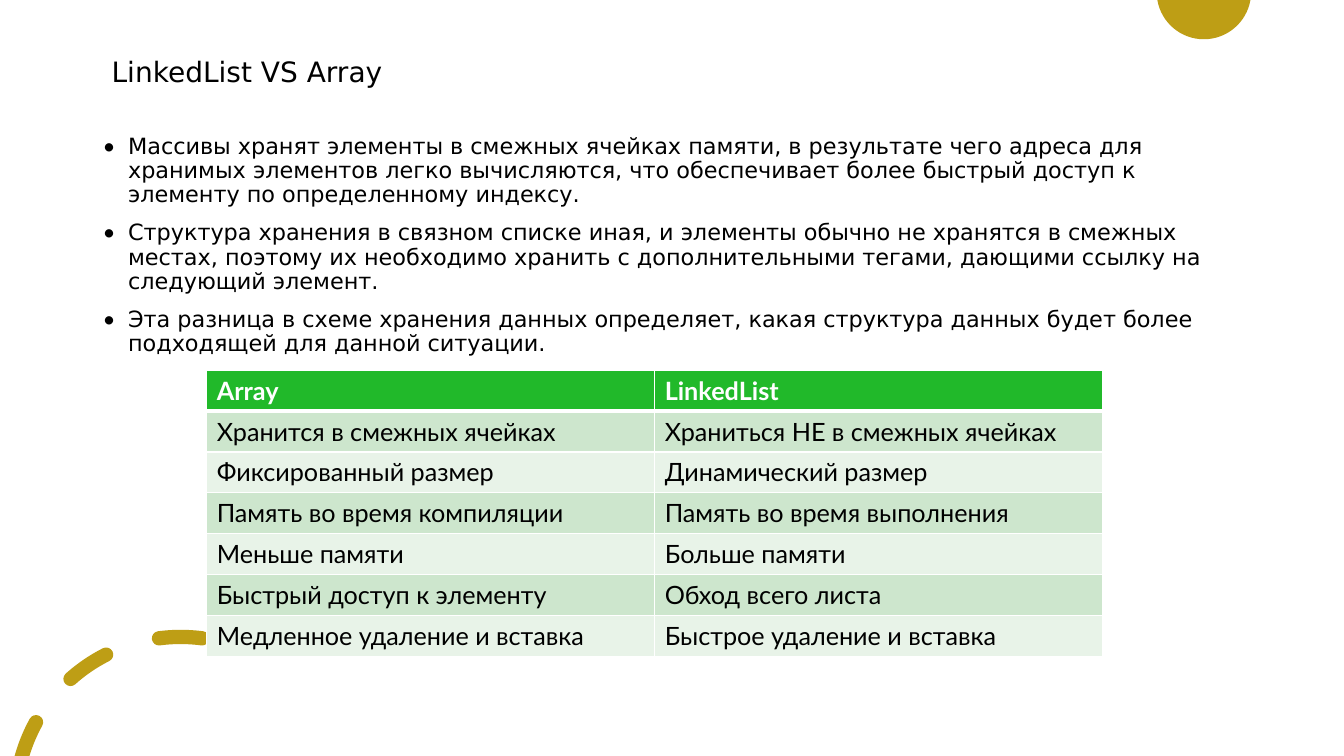
from collections import namedtuple
from math import acos, cos, degrees, radians, sin, tan

from lxml import etree
from pptx import Presentation
from pptx.dml.color import RGBColor
from pptx.enum import text
from pptx.oxml import ns
from pptx.util import Cm, Pt

GOLD = RGBColor(0xBE, 0x9E, 0x15)
GREEN = RGBColor(0x21, 0xB9, 0x2A)
BAND_DARK = RGBColor(0xCD, 0xE6, 0xCD)
BAND_LIGHT = RGBColor(0xE8, 0xF3, 0xE8)
WHITE = RGBColor(0xFF, 0xFF, 0xFF)
BLACK = RGBColor(0, 0, 0)

Box = namedtuple("Box", "left top width height")  # centimetres

TITLE = " LinkedList VS Array"
POINTS = [
    "Массивы хранят элементы в смежных ячейках памяти, в результате чего адреса для "
    "хранимых элементов легко вычисляются, что обеспечивает более быстрый доступ к "
    "элементу по определенному индексу.",
    "Структура хранения в связном списке иная, и элементы обычно не хранятся в смежных "
    "местах, поэтому их необходимо хранить с дополнительными тегами, дающими ссылку на "
    "следующий элемент.",
    "Эта разница в схеме хранения данных определяет, какая структура данных будет более "
    "подходящей для данной ситуации.",
]
ROWS = [
    ("Array", "LinkedList"),
    ("Хранится в смежных ячейках", "Храниться НЕ в смежных ячейках"),
    ("Фиксированный размер", "Динамический размер"),
    ("Память во время компиляции", "Память во время выполнения"),
    ("Меньше памяти", "Больше памяти"),
    ("Быстрый доступ к элементу", "Обход всего листа"),
    ("Медленное удаление и вставка", "Быстрое удаление и вставка"),
]


def on_circle(cx, cy, radius, angle):
    """Point at an angle in degrees, clockwise from the top."""
    a = radians(angle)
    return cx + radius * sin(a), cy - radius * cos(a)


def arc(cx, cy, radius, start, end):
    """Two control points and the end point of a Bezier arc."""
    reach = 4 / 3 * tan(radians(end - start) / 4) * radius
    x0, y0 = on_circle(cx, cy, radius, start)
    x1, y1 = on_circle(cx, cy, radius, end)
    a, b = radians(start), radians(end)
    return [(x0 + reach * cos(a), y0 + reach * sin(a)),
            (x1 - reach * cos(b), y1 - reach * sin(b)), (x1, y1)]


def half_turn(cx, cy, radius, start):
    return (arc(cx, cy, radius, start, start + 90)
            + arc(cx, cy, radius, start + 90, start + 180))


def add_curves(slide, contours):
    """One gold shape; each contour is (start point, curves, straight corners)."""
    fb = None
    tags = []
    for start, curves, corners in contours:
        start, *rest = [(Cm(x), Cm(y)) for x, y in [start] + curves + corners]
        if fb is None:
            fb = slide.shapes.build_freeform(*start)
        else:
            fb.move_to(*start)
        fb.add_line_segments(rest, close=True)
        tags += ["curve"] * len(curves) + ["line"] * len(corners)
    sp = fb.convert_to_shape()
    # Join each three curve points into one cubic segment
    lines = list(sp._element.iter(ns.qn("a:lnTo")))
    curved = [line for line, tag in zip(lines, tags) if tag == "curve"]
    for c1, c2, last in zip(curved[::3], curved[1::3], curved[2::3]):
        cubic = etree.Element(ns.qn("a:cubicBezTo"))
        c1.addprevious(cubic)
        for line in (c1, c2, last):
            cubic.append(line[0])
            line.getparent().remove(line)
    sp.shadow.inherit = False
    sp.fill.solid()
    sp.fill.fore_color.rgb = GOLD
    sp.line.fill.background()


def add_run(p, content, size, font, color, bold=False):
    r = p.add_run()
    r.text = content
    r.font.size = Pt(size)
    r.font.name = font
    r.font.bold = bold
    r.font.color.rgb = color


def add_text_frame(slide, box):
    tf = slide.shapes.add_textbox(*map(Cm, box)).text_frame
    tf.word_wrap = True
    return tf


# Circle cut off by the top edge
def add_corner_circle(slide, box):
    radius = 1.19
    circle = (box.left + box.width / 2, box.top + box.height - radius, radius)
    start = degrees(acos((circle[1] - box.top) / radius))
    curves = arc(*circle, start, 180) + arc(*circle, 180, 360 - start)
    add_curves(slide, [(on_circle(*circle, start), curves, [])])


# Dashed arc with round ends, cut off by the bottom edge
def add_dashed_arc(slide, box):
    radius, half = 4.16, 0.18
    cx, cy = box.left + 4.55, box.top + half + radius
    outer, inner = (cx, cy, radius + half), (cx, cy, radius - half)
    drop = cy - box.top - box.height
    contours = []
    for i in range(3):
        end = 7.5 - 34.3 * i
        start = end - 15
        clipped = i == 2
        first, last = [max(start, -degrees(acos(drop / c[2]))) if clipped else start
                       for c in (outer, inner)]
        curves = (arc(*outer, first, end)
                  + half_turn(*on_circle(cx, cy, radius, end), half, end)
                  + arc(*inner, end, last))
        if not clipped:
            curves += half_turn(*on_circle(cx, cy, radius, start), half, start + 180)
        contours.append((on_circle(*outer, first), curves, []))
    add_curves(slide, contours)


def add_title(slide, box):
    tf = add_text_frame(slide, box)
    tf.vertical_anchor = text.MSO_ANCHOR.MIDDLE
    add_run(tf.paragraphs[0], TITLE, 20, "DejaVu Sans", BLACK)


def add_bullets(slide, box):
    tf = add_text_frame(slide, box)
    for i, point in enumerate(POINTS):
        p = tf.add_paragraph() if i else tf.paragraphs[0]
        p.line_spacing = 0.9
        p.space_before = Pt(10)
        pPr = p._p.get_or_add_pPr()
        pPr.set("marL", str(Cm(0.64)))
        pPr.set("indent", str(-Cm(0.64)))
        etree.SubElement(pPr, ns.qn("a:buFont")).set("typeface", "Lato")
        etree.SubElement(pPr, ns.qn("a:buChar")).set("char", "•")
        add_run(p, point, 16, "DejaVu Sans", BLACK)


def add_borders(cell, widths):
    tcPr = cell._tc.get_or_add_tcPr()
    for side, width in widths.items():
        ln = etree.SubElement(tcPr, ns.qn(f"a:ln{side}"), w=str(Pt(width)))
        fill = etree.SubElement(ln, ns.qn("a:solidFill"))
        etree.SubElement(fill, ns.qn("a:srgbClr"), val=str(WHITE))


def add_comparison(slide, box):
    frame = slide.shapes.add_table(len(ROWS), len(ROWS[0]), *map(Cm, box))
    table = frame.table
    table.horz_banding = False
    for i, row in enumerate(ROWS):
        header = i == 0
        fill = GREEN if header else (BAND_DARK if i % 2 else BAND_LIGHT)
        for j, content in enumerate(row):
            cell = table.cell(i, j)
            add_borders(cell, {"L": 1, "R": 1, "T": 3 if i == 1 else 1,
                               "B": 3 if header else 1})
            cell.fill.solid()
            cell.fill.fore_color.rgb = fill
            add_run(cell.text_frame.paragraphs[0], content, 18, "Lato",
                    WHITE if header else BLACK, header)


def main():
    prs = Presentation()
    prs.slide_width, prs.slide_height = Cm(33.87), Cm(19.05)
    slide = prs.slides.add_slide(prs.slide_layouts[6])
    add_corner_circle(slide, Box(29.15, 0, 2.38, 0.99))
    add_dashed_arc(slide, Box(0, 15.87, 5.3, 3.18))
    add_title(slide, Box(2.34, 1.02, 28.93, 1.55))
    add_bullets(slide, Box(2.34, 3.28, 29.26, 6.05))
    add_comparison(slide, Box(5.21, 9.33, 22.58, 7.21))
    prs.save("out.pptx")


if __name__ == "__main__":
    main()
